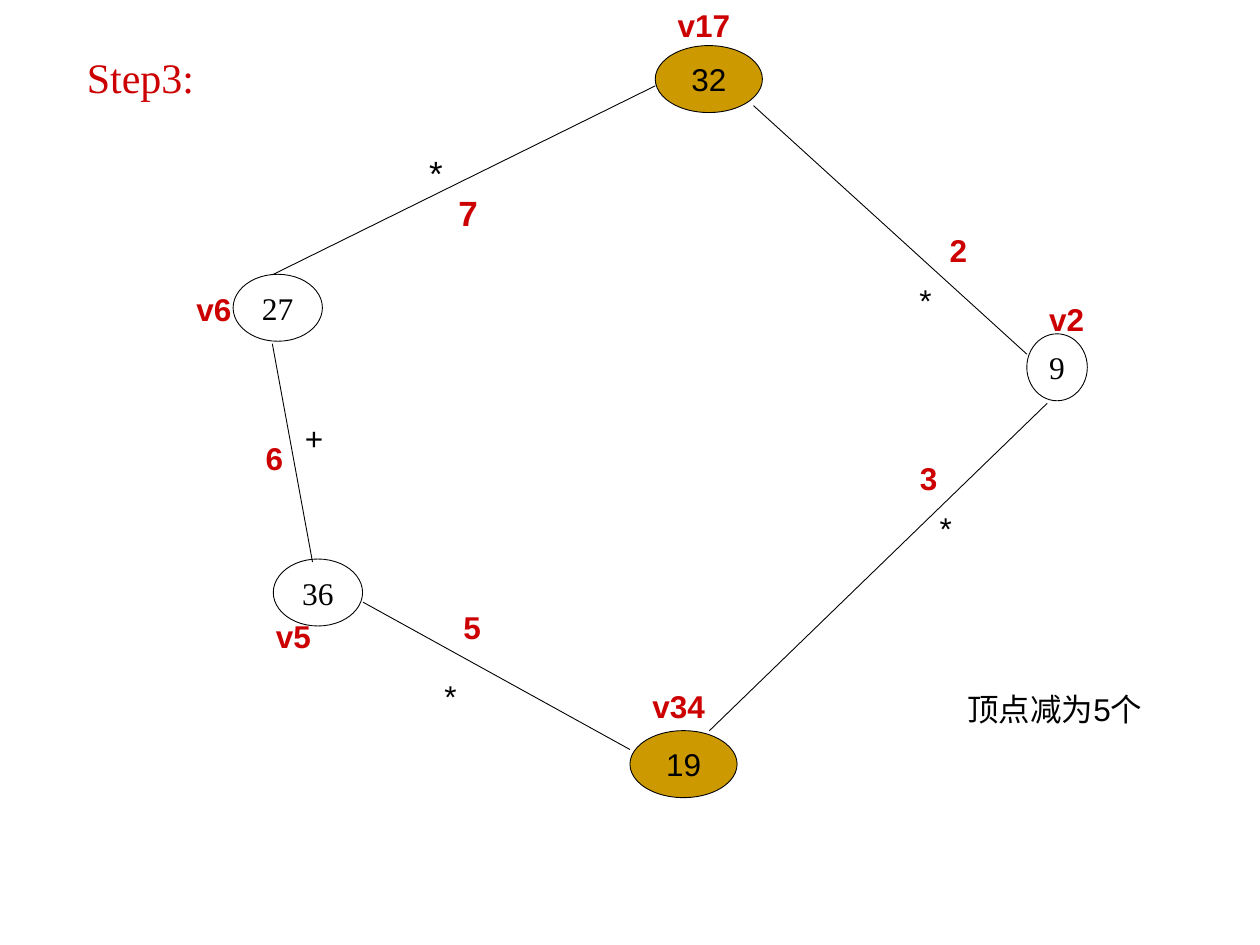
from pptx import Presentation
from pptx.dml.color import RGBColor
from pptx.enum.shapes import MSO_CONNECTOR, MSO_SHAPE
from pptx.enum.text import MSO_ANCHOR, PP_ALIGN
from pptx.oxml.ns import qn
from pptx.util import Cm, Pt
from lxml import etree

OVAL, STRAIGHT = MSO_SHAPE.OVAL, MSO_CONNECTOR.STRAIGHT
MIDDLE, CENTER, LEFT = MSO_ANCHOR.MIDDLE, PP_ALIGN.CENTER, PP_ALIGN.LEFT
BLACK, RED, GOLD = "000000", "CC0000", "CC9900"
SANS, SERIF = "Arial", "Times New Roman"
NODE_HEIGHT, LABEL_HEIGHT = 1.35, 1.02
VERTICES = [
    ("v17", "32", (13.21, 0.92, 2.16), (0.2, -0.92), True),
    ("v2", "9", (20.7, 6.73, 1.22), (0.2, -0.81), False),
    ("v5", "36", (5.51, 11.27, 1.8), (-0.2, 1.05), False),
    ("v6", "27", (4.7, 5.53, 1.8), (-0.99, 0.2), False),
    ("v34", "19", (12.7, 14.73, 2.16), (0.2, -1.01), True),
]
EDGES = [
    ("2", "*", (15.19, 2.13), (20.7, 7.14), (0.95, -0.11), (0.34, 0.9), 18),
    ("3", "*", (21.11, 8.13), (14.3, 14.73), (-0.5 + 1.09, -2.31), (0.99, -1.3), 18),
    ("5", "*", (12.7, 15.11), (7.32, 12.14), (-0.92, -1.5), (-1.3, -0.11), 18),
    ("6", "+", (6.3, 11.33), (5.49, 6.93), (-0.79, -0.4), (0, -0.8), 18),
    ("7", "*", (5.49, 5.54), (13.21, 1.73), (-0.36, 0.1), (-0.95, -0.71), 20),
]


def color(hex_code):
    """Turn a hex string into a colour."""
    return RGBColor.from_string(hex_code)


def write(frame, text, size=18, font=SANS, hue=BLACK, bold=False, align=LEFT, wrap=False):
    """Put formatted text into a text frame."""
    frame.word_wrap = wrap
    paragraph = frame.paragraphs[0]
    paragraph.alignment = align
    run = paragraph.add_run()
    run.text = text
    run.font.size, run.font.name, run.font.bold = Pt(size), font, bold
    run.font.color.rgb = color(hue)


def add_label(slide, text, left, top, width, height=LABEL_HEIGHT, **style):
    """Add a text box in the given box."""
    label = slide.shapes.add_textbox(Cm(left), Cm(top), Cm(width), Cm(height))
    write(label.text_frame, text, **style)


def add_vertex(slide, name, value, box, offset, merged):
    """Draw a vertex with its value inside and its name beside it."""
    left, top, width = box
    vertex = slide.shapes.add_shape(OVAL, Cm(left), Cm(top), Cm(width), Cm(NODE_HEIGHT))
    vertex.shadow.inherit = False
    if merged:
        vertex.fill.solid()
        vertex.fill.fore_color.rgb = color(GOLD)
    else:
        vertex.fill.background()
    vertex.line.color.rgb = color(BLACK)
    vertex.line.width = Pt(0.5)
    frame = vertex.text_frame
    frame.margin_left = frame.margin_right = 0
    frame.vertical_anchor = MIDDLE
    write(frame, value, font=SANS if merged else SERIF, align=CENTER)
    name_width = 0.54 + 0.35 * len(name)
    add_label(slide, name, left + offset[0], top + offset[1], name_width, hue=RED, bold=True)


def add_edge(slide, number, operator, start, end, number_offset, operator_offset, size):
    """Draw an edge with its number and operator placed from its midpoint."""
    edge = slide.shapes.add_connector(STRAIGHT, *(Cm(value) for value in start + end))
    edge.line.color.rgb = color(BLACK)
    edge.line.width = Pt(0.5)
    etree.SubElement(edge._element.spPr, qn("a:effectLst"))
    middle_x, middle_y = (start[0] + end[0]) / 2, (start[1] + end[1]) / 2
    for text, (shift_x, shift_y), width, style in (
        (number, number_offset, 0.87, {"hue": RED, "bold": True}),
        (operator, operator_offset, 0.89 if operator == "+" else 0.77, {}),
    ):
        add_label(slide, text, middle_x + shift_x, middle_y + shift_y, width, size=size, **style)


def main():
    """Build the polygon slide."""
    deck = Presentation()
    deck.slide_width, deck.slide_height = Cm(25.4), Cm(19.05)
    slide = deck.slides.add_slide(deck.slide_layouts[6])
    add_label(slide, "Step3:", 1.5, 0.92, 2.9, 1.27, size=24, font=SERIF, hue=RED)
    for vertex in VERTICES:
        add_vertex(slide, *vertex)
    for edge in EDGES:
        add_edge(slide, *edge)
    add_label(slide, "顶点减为5个", 19.25, 13.79, 4.04, wrap=True)
    deck.save("out.pptx")


if __name__ == "__main__":
    main()
